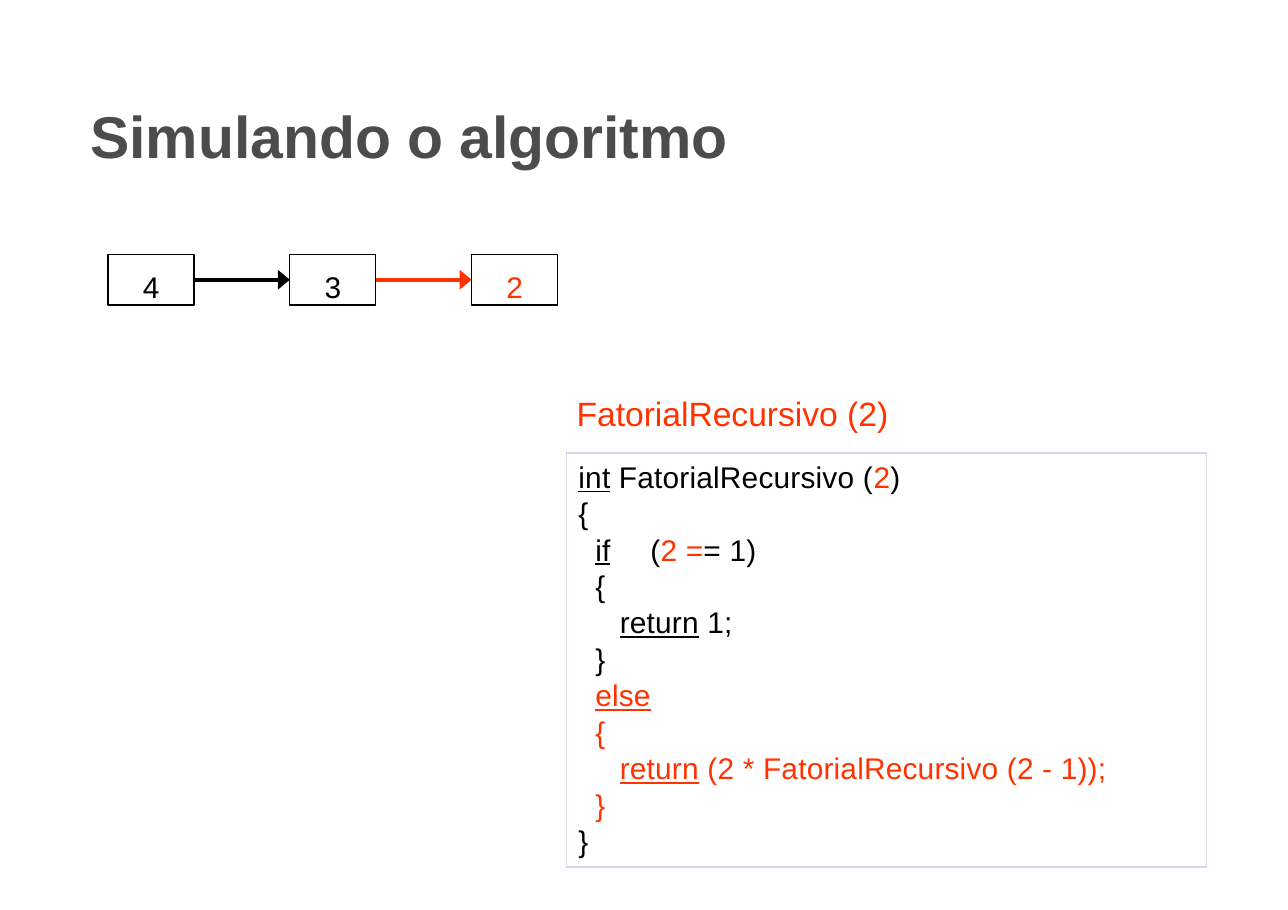
from dataclasses import dataclass

from lxml import etree
from pptx import Presentation
from pptx.dml.color import RGBColor
from pptx.enum.shapes import MSO_CONNECTOR, MSO_SHAPE
from pptx.enum.text import MSO_ANCHOR, PP_ALIGN
from pptx.oxml.ns import qn
from pptx.util import Pt

RECTANGLE = MSO_SHAPE.RECTANGLE
STRAIGHT = MSO_CONNECTOR.STRAIGHT
TOP = MSO_ANCHOR.TOP
LEFT = PP_ALIGN.LEFT
CENTER = PP_ALIGN.CENTER
SIDE_LEFT, SIDE_RIGHT = 1, 3


@dataclass(frozen=True)
class Theme:
    """Colours, font and sizes of the slide."""
    font: str = "Arial"
    title: str = "4C4C4C"
    ink: str = "000000"
    active: str = "FF3200"
    frame: str = "D8D8EC"
    title_size: float = 38.5
    label_size: float = 22
    code_size: float = 19.5
    outline: float = 0.83
    arrow: float = 2.6


THEME = Theme()
INK, ACTIVE = THEME.ink, THEME.active

CALLS = [("4", INK), ("3", INK), ("2", ACTIVE)]

CODE = [
    (8, [("int", INK, True), (" FatorialRecursivo (", INK, False),
         ("2", ACTIVE, False), (")", INK, False)]),
    (8, [("{", INK, False)]),
    (19, [("if", INK, True), ("\t(", INK, False),
          ("2 =", ACTIVE, False), ("= 1)", INK, False)]),
    (19, [("{", INK, False)]),
    (35, [("return", INK, True), (" 1;", INK, False)]),
    (19, [("}", INK, False)]),
    (19, [("else", ACTIVE, True)]),
    (19, [("{", ACTIVE, False)]),
    (35, [("return", ACTIVE, True),
          (" (2 * FatorialRecursivo (2 - 1));", ACTIVE, False)]),
    (19, [("}", ACTIVE, False)]),
    (8, [("}", INK, False)]),
]


def add_tab(para, position):
    """Add one left tab stop, in points, to a paragraph."""
    properties = para._p.get_or_add_pPr()
    stops = etree.SubElement(properties, qn("a:tabLst"))
    etree.SubElement(stops, qn("a:tab"), pos=str(Pt(position)), algn="l")


def write_text(shape, lines, *, size, bold=False, align=LEFT, inset=0, gap=0,
               tab=None, tracking=0):
    """Write lines of (indent, spans) into a shape with the given format."""
    frame = shape.text_frame
    frame.word_wrap = True
    frame.vertical_anchor = TOP
    frame.margin_left = frame.margin_right = frame.margin_bottom = 0
    frame.margin_top = Pt(inset)
    for number, (indent, spans) in enumerate(lines):
        para = frame.add_paragraph() if number else frame.paragraphs[0]
        para.alignment = align
        if number:
            para.space_before = Pt(gap)
        if indent:
            properties = para._p.get_or_add_pPr()
            properties.set("marL", str(Pt(indent)))
            properties.set("indent", "0")
        if tab and any("\t" in text for text, _, _ in spans):
            add_tab(para, tab)
        for text, color, underline in spans:
            span = para.add_run()
            span.text = text
            span.font.name = THEME.font
            span.font.size = Pt(size)
            span.font.bold = bold
            span.font.underline = underline
            span.font.color.rgb = RGBColor.from_string(color)
            if tracking:
                span._r.get_or_add_rPr().set("spc", str(round(tracking * 100)))


def add_heading(page, box, text, color, **text_format):
    """Place a single line of text in a box."""
    heading = page.shapes.add_textbox(*map(Pt, box))
    write_text(heading, [(1, [(text, color, False)])], **text_format)


def add_frame(page, box, color):
    """Place an unfilled outlined rectangle in a box."""
    frame = page.shapes.add_shape(RECTANGLE, *map(Pt, box))
    frame.shadow.inherit = False
    frame.fill.background()
    frame.line.color.rgb = RGBColor.from_string(color)
    frame.line.width = Pt(THEME.outline)
    return frame


def add_arrow(page, start, end, color):
    """Join two rectangles with an arrow from left to right."""
    arrow = page.shapes.add_connector(STRAIGHT, 0, 0, 0, 0)
    arrow.begin_connect(start, SIDE_RIGHT)
    arrow.end_connect(end, SIDE_LEFT)
    arrow.line.color.rgb = RGBColor.from_string(color)
    arrow.line.width = Pt(THEME.arrow)
    etree.SubElement(arrow.line._get_or_add_ln(), qn("a:tailEnd"),
                     type="triangle", w="lg", len="med")
    etree.SubElement(arrow._element.spPr, qn("a:effectLst"))


def add_call_chain(page, box, calls):
    """Spread the calls evenly over a box and link them with arrows."""
    left, top, width, height = box
    call_width = 56.2
    pitch = (width - call_width) / (len(calls) - 1)
    previous = None
    for number, (value, color) in enumerate(calls):
        call = add_frame(page, (left + number * pitch, top, call_width, height), INK)
        write_text(call, [(0, [(value, color, False)])],
                   size=THEME.code_size, align=CENTER, inset=9.4)
        if previous is not None:
            add_arrow(page, previous, call, color)
        previous = call


def add_code_panel(page, box, label):
    """Place a label above a framed code listing."""
    left, top, width, height = box
    label_height = 39
    add_heading(page, (left + 5.8, top, 207, 27.4), label, ACTIVE, size=THEME.label_size)
    panel = add_frame(page, (left, top + label_height, width, height - label_height),
                      THEME.frame)
    write_text(panel, CODE, size=THEME.code_size, inset=3.6, gap=0.4, tab=67, tracking=0.1)


def main():
    """Build the slide and save it."""
    deck = Presentation()
    deck.slide_width, deck.slide_height = Pt(841.68), Pt(594.72)
    page = deck.slides.add_slide(deck.slide_layouts[6])
    add_heading(page, (58, 39.6, 726.5, 72), "Simulando o algoritmo", THEME.title,
                size=THEME.title_size, bold=True, inset=25.2)
    add_call_chain(page, (70.6, 166.3, 293.8, 33.1), CALLS)
    add_code_panel(page, (370, 257, 418.3, 309.7), "FatorialRecursivo (2)")
    deck.save("out.pptx")


if __name__ == "__main__":
    main()
